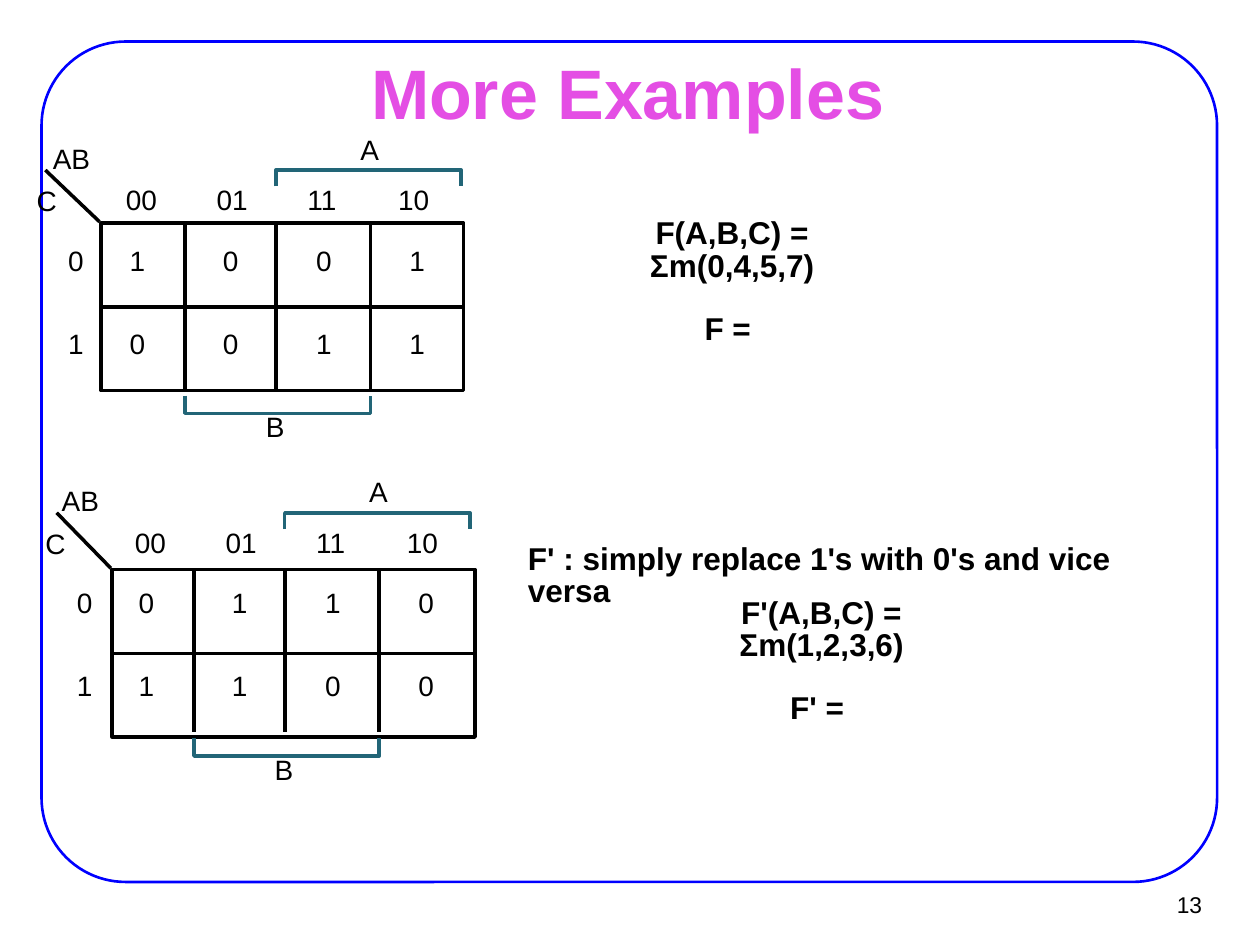
from lxml.etree import SubElement
from pptx import Presentation
from pptx.dml.color import RGBColor
from pptx.enum.shapes import MSO_CONNECTOR, MSO_SHAPE
from pptx.enum.text import MSO_ANCHOR as Anchor, PP_ALIGN as Align
from pptx.oxml.ns import qn
from pptx.util import Inches, Pt

BLACK = RGBColor(0x00, 0x00, 0x00)
BLUE = RGBColor(0x00, 0x00, 0xFF)
PINK = RGBColor(0xE4, 0x4E, 0xE4)
TEAL = RGBColor(0x22, 0x65, 0x77)

# The slide is laid on a square grid of 100 columns by 75 rows.
COLUMNS, ROWS = 100, 75
UNIT = Inches(10) / COLUMNS

AB_CODES = ("00", "01", "11", "10")
C_CODES = "01"
HEADER_STEP, DIGIT_STEP, ROW_STEP = 7.2, 7.4, 6.6


def grid(*lengths):
    return [round(length * UNIT) for length in lengths]


def style_line(line, color, width):
    line.color.rgb = color
    line.width = Pt(width)


def add_text(shapes, box, paragraphs, inset=(0, 0), align=Align.LEFT,
             anchor=Anchor.TOP, spacing=None, gap=0, wrap=False, **font):
    """Place paragraphs in box; gap is the space in points between them."""
    frame = shapes.add_textbox(*grid(*box)).text_frame
    side, edge = grid(*inset)
    settings = {"margin_left": side, "margin_right": side, "margin_top": edge,
                "margin_bottom": edge, "word_wrap": wrap,
                "vertical_anchor": anchor}
    for key, value in settings.items():
        setattr(frame, key, value)
    looks = {"name": "Arial", "size": Pt(16), "bold": False, **font}
    color = looks.pop("color", BLACK)
    for index, words in enumerate(paragraphs):
        paragraph = frame.paragraphs[0] if index == 0 else frame.add_paragraph()
        paragraph.alignment = align
        if spacing:
            paragraph.line_spacing = spacing
        if index:
            paragraph.space_before = Pt(gap)
        run = paragraph.add_run()
        run.text = words
        run.font.color.rgb = color
        for key, value in looks.items():
            setattr(run.font, key, value)


def add_rule(shapes, start, end):
    rule = shapes.add_connector(MSO_CONNECTOR.STRAIGHT, *grid(*start, *end))
    style_line(rule.line, BLACK, 2)
    SubElement(rule._element.spPr, qn("a:effectLst"))
    return rule


def add_outline(shapes, preset, box, color, width):
    outline = shapes.add_shape(preset, *grid(*box))
    outline.fill.background()
    outline.shadow.inherit = False
    style_line(outline.line, color, width)
    return outline


def add_bracket(shapes, left, width, tips, bar):
    """Draw a square bracket whose bar lies at bar and whose ends reach tips."""
    right = left + width
    builder = shapes.build_freeform(*grid(left, tips))
    builder.add_line_segments(
        [grid(*point) for point in ((left, bar), (right, bar), (right, tips))],
        close=False)
    bracket = builder.convert_to_shape()
    bracket.fill.background()
    bracket.shadow.inherit = False
    style_line(bracket.line, TEAL, 2)


def karnaugh_map(slide, frame_box, first_rule, middle, values):
    """Draw a map; labels hang on the first column rule and the middle row rule."""
    shapes = slide.shapes.add_group_shape().shapes
    left, top, width, height = frame_box

    frame = add_outline(shapes, MSO_SHAPE.RECTANGLE, frame_box, BLACK, 2)
    row_rule = add_rule(shapes, (left, middle), (left + width, middle))
    row_rule.begin_connect(frame, 1)
    row_rule.end_connect(frame, 3)
    for offset in (0, 7.2, 14.7):
        x = first_rule + offset
        add_rule(shapes, (x, top), (x, middle + 6.4))
    add_rule(shapes, (left - 0.1, top - 0.1), (left - 4.4, middle - 11))

    add_bracket(shapes, first_rule + 7.2, 14.7, middle - 9.7, middle - 11)
    add_bracket(shapes, first_rule, 14.7, middle + 6.9, middle + 8.3)

    labels = [("AB", -10.5, -13.3), ("C", -11.8, -9.9),
              ("A", 13.9, -14), ("B", 6.4, 8)]
    labels += [(code, -4.7 + HEADER_STEP * column, -10)
               for column, code in enumerate(AB_CODES)]
    for row, digits in enumerate(values):
        y = -5.2 + ROW_STEP * row
        labels.append((C_CODES[row], -9.3, y))
        labels += [(digit, -4.4 + DIGIT_STEP * column, y)
                   for column, digit in enumerate(digits)]
    for label, x, y in labels:
        add_text(shapes, (first_rule + x, middle + y, 4, 3.3), [label])


def formulas(slide, box, paragraphs, align=Align.CENTER):
    add_text(slide.shapes, box, paragraphs, inset=(0.7, 0.3), align=align,
             spacing=0.85, gap=18, wrap=True, size=Pt(18), bold=True)


def slide_frame(slide, box, number):
    border = add_outline(slide.shapes, MSO_SHAPE.ROUNDED_RECTANGLE, box, BLUE, 1.5)
    border.adjustments[0] = 0.1
    add_text(slide.shapes, (90.2, 69.9, 6.1, 3.7), [number], inset=(0.9, 0.4),
             align=Align.RIGHT, anchor=Anchor.MIDDLE, size=Pt(13))


def main():
    deck = Presentation()
    deck.slide_width, deck.slide_height = grid(COLUMNS, ROWS)
    slide = deck.slides.add_slide(deck.slide_layouts[6])

    slide_frame(slide, (3.3, 3.3, 93.3, 66.7), "13")
    add_text(slide.shapes, (28.7, 3.6, 42.2, 7.2), ["More Examples"],
             inset=(0.7, 0.3), align=Align.CENTER, size=Pt(40), bold=True,
             color=PINK)
    formulas(slide, (44.7, 17.1, 26.8, 8.2),
             ["F(A,B,C) = Σm(0,4,5,7)", "F = "])
    formulas(slide, (51.7, 47.2, 27, 8.2),
             ["F'(A,B,C) = Σm(1,2,3,6)", "F' = "])
    formulas(slide, (41.2, 42.9, 54.8, 3.1),
             ["F' : simply replace 1's with 0's and vice versa"], Align.LEFT)

    karnaugh_map(slide, (8, 17.7, 28.8, 13.3), 14.7, 24.5, ("1001", "0011"))
    karnaugh_map(slide, (8.9, 45.2, 28.8, 13.3), 15.4, 51.7, ("0110", "1100"))
    deck.save("out.pptx")


if __name__ == "__main__":
    main()
